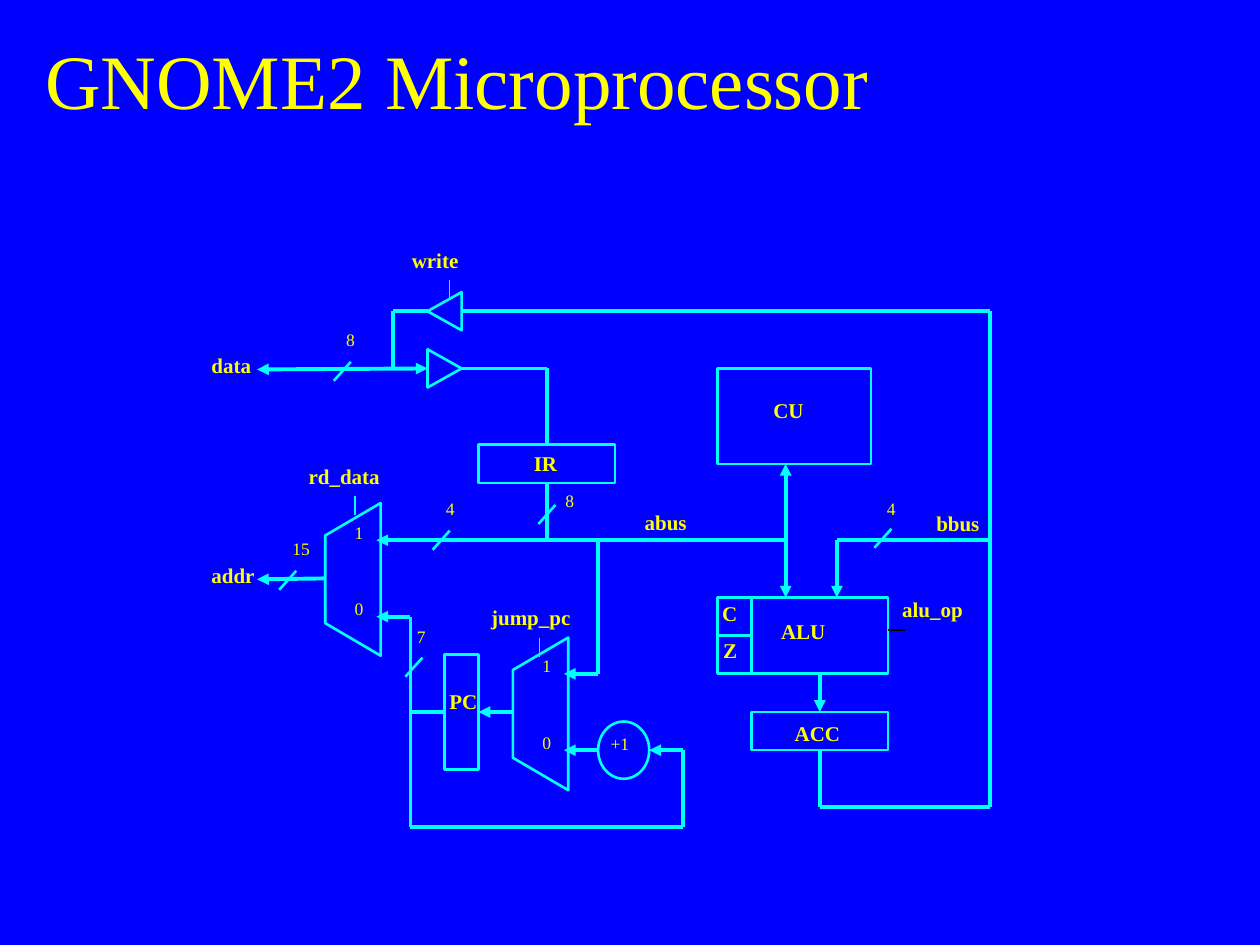
from itertools import pairwise
from lxml import etree
from pptx import Presentation
from pptx.dml.color import RGBColor
from pptx.enum.shapes import MSO_CONNECTOR, MSO_SHAPE
from pptx.enum.text import MSO_ANCHOR
from pptx.oxml.ns import qn
from pptx.util import Inches, Pt

LINE = MSO_CONNECTOR.STRAIGHT
RECT, OVAL, TRI = MSO_SHAPE.RECTANGLE, MSO_SHAPE.OVAL, MSO_SHAPE.ISOSCELES_TRIANGLE
TOP, MID = MSO_ANCHOR.TOP, MSO_ANCHOR.MIDDLE
BLUE, CYAN, GOLD, BLACK = "0000FF", "00FFFF", "FFFF00", "000000"
FONT = "Times New Roman"

# Grid of the block diagram: wires run along whole columns and rows
LEFT, UP = 2.04, 2.47
COL = (7.86 - LEFT) / 43
ROW = (6.56 - UP) / 27

# Blocks: kind, column, row, columns wide, rows high
BLOCKS = [
    (RECT, 27, 3, 9, 5),        # CU
    (RECT, 29, 15, 8, 4),       # ALU
    (RECT, 29, 21, 8, 2),       # ACC
    (RECT, 27, 15, 2, 2),       # C flag
    (RECT, 27, 17, 2, 2),       # Z flag
    (RECT, 11, 18, 2, 6),       # PC
    (RECT, 13, 7, 8, 2),        # IR
    (OVAL, 20, 21.5, 3, 3),     # incrementer
]
# Buffers: centre column, centre row, turn
BUFFERS = [(11, 0, 270), (11, 3, 90)]
# Multiplexers: left column, top row
MUXES = [(4, 10.05), (15, 17.1)]
MUX = [(3.25, 0), (3.25, 8), (0, 6.3), (0, 1.7)]

# Wires: corner points, then the ends that carry an arrowhead
WIRES = [
    ([(31, 12), (31, 15)], "tail"),
    ([(31, 12), (31, 8)], "tail"),
    ([(31, 12), (7, 12)], "tail"),
    ([(20, 12), (20, 19), (18, 19)], "tail"),
    ([(17, 9), (17, 12)], ""),
    ([(43, 12), (34, 12), (34, 15)], "tail"),
    ([(33, 23), (33, 26), (43, 26), (43, 0), (12, 0)], ""),
    ([(33, 19), (33, 21)], "tail"),
    ([(15, 21), (13, 21)], "tail"),
    ([(11, 21), (9, 21)], ""),
    ([(9, 21), (9, 27), (25, 27), (25, 23), (23, 23)], "tail"),
    ([(20, 23), (18, 23)], "tail"),
    ([(9, 21), (9, 16), (7, 16)], "tail"),
    ([(4, 14), (0, 14.05)], "tail"),
    ([(12, 3), (17, 3), (17, 7)], ""),
    ([(10, 0), (8, 0), (8, 3)], ""),
    ([(10, 3), (0, 3.05)], "head tail"),
]
# Upper right end of each bus-width slash
SLASHES = [(5.5, 2.65), (37.2, 11.4), (17.5, 10.15),
           (11.3, 11.5), (9.7, 18.15), (2.3, 13.6)]
# Upper end of each control stub
STUBS = [(5.75, 9.7), (11.3, -1.65), (16.55, 17.1)]

# Labels: text, column, row, columns wide
SMALL = [
    ("8", 4.5, 0.6, 4), ("4", 36.2, 9.45, 4), ("8", 17.35, 9.05, 4),
    ("4", 10.35, 9.45, 4), ("7", 8.65, 16.15, 4), ("15", 1.35, 11.55, 4),
    ("+1", 20, 21.8, 4), ("0", 5, 14.7, 4), ("1", 5, 10.7, 4),
    ("0", 16, 21.7, 4), ("1", 16, 17.7, 4),
]
BOLD = [
    ("CU", 29.55, 4.2, 4), ("ALU", 30, 15.8, 6), ("ACC", 30.8, 21.1, 5),
    ("IR", 15.5, 7, 4), ("PC", 10.55, 19.45, 4), ("C", 26.55, 14.85, 4),
    ("Z", 26.6, 16.75, 4), ("rd_data", 2.3, 7.65, 7), ("write", 8.35, -3.65, 6),
    ("alu_op", 37.1, 14.65, 7), ("abus", 22, 10.05, 6), ("bbus", 39.1, 10.1, 6),
    ("jump_pc", 13, 15.05, 7), ("addr", -3.4, 12.85, 5), ("data", -3.4, 1.85, 5),
]


def rgb(code):
    return RGBColor.from_string(code)


def x_at(col):
    return Inches(LEFT + col * COL)


def y_at(row):
    return Inches(UP + row * ROW)


def outline(shape):
    shape.shadow.inherit = False
    shape.fill.background()
    shape.line.color.rgb = rgb(CYAN)
    shape.line.width = Pt(1.5)
    return shape


def wire(start, end, width, color=CYAN, ends=""):
    cxn = shapes.add_connector(LINE, x_at(start[0]), y_at(start[1]),
                               x_at(end[0]), y_at(end[1]))
    cxn.line.color.rgb = rgb(color)
    cxn.line.width = Pt(width)
    for name in ends.split():
        etree.SubElement(cxn.line._get_or_add_ln(), qn(f"a:{name}End"), type="triangle")
    etree.SubElement(cxn._element.spPr, qn("a:effectLst"))
    if start in ports:
        cxn.begin_connect(*ports[start])
    if end in ports:
        cxn.end_connect(*ports[end])


def label(text, x, y, w, h, size, bold=False, anchor=TOP):
    frame = shapes.add_textbox(x, y, w, h).text_frame
    frame.word_wrap = True
    frame.vertical_anchor = anchor
    run = frame.paragraphs[0].add_run()
    run.text = text
    for key, val in {"name": FONT, "size": Pt(size), "bold": bold}.items():
        setattr(run.font, key, val)
    run.font.color.rgb = rgb(GOLD)


deck = Presentation()
deck.slide_width, deck.slide_height = Inches(10), Inches(7.5)
slide = deck.slides.add_slide(deck.slide_layouts[6])
slide.background.fill.solid()
slide.background.fill.fore_color.rgb = rgb(BLUE)
shapes = slide.shapes

# Title
label("GNOME2 Microprocessor", Inches(0.26), 0, Inches(8.5), Inches(1.25), 44, anchor=MID)

# Blocks, and the side middles of the rectangles where wires can join
ports = {}
for kind, col, row, wide, high in BLOCKS:
    block = outline(shapes.add_shape(kind, x_at(col), y_at(row),
                                     Inches(wide * COL), Inches(high * ROW)))
    if kind == RECT:
        sides = [(col + wide / 2, row), (col, row + high / 2),
                 (col + wide / 2, row + high), (col + wide, row + high / 2)]
        ports.update({spot: (block, i) for i, spot in enumerate(sides)})

# Buffers
for col, row, turn in BUFFERS:
    w, h = Inches(2 * ROW), Inches(2 * COL)
    outline(shapes.add_shape(TRI, x_at(col) - w // 2, y_at(row) - h // 2, w, h)).rotation = turn

# Multiplexers
for col, row in MUXES:
    spots = [(x_at(col + dx), y_at(row + dy)) for dx, dy in MUX]
    build = shapes.build_freeform(*spots[0])
    build.add_line_segments(spots[1:], close=True)
    outline(build.convert_to_shape())

# Wires: arrowheads sit on the outer ends of a chain
for spots, ends in WIRES:
    legs = list(pairwise(spots))
    for leg in legs:
        wire(*leg, 2.25, ends=ends if leg == legs[-1] else "")
for col, row in SLASHES:
    wire((col, row), (col - 1, row + 1), 1.5)
for col, row in STUBS:
    wire((col, row), (col, row + 1), 0.75)
wire((38, 16.7), (37, 16.7), 0.75, BLACK)

# Labels
for group, size, bold in [(SMALL, 10, False), (BOLD, 12, True)]:
    for text, col, row, wide in group:
        label(text, x_at(col), y_at(row), Inches(wide * COL), Inches(3 * ROW), size, bold)

deck.save("out.pptx")
